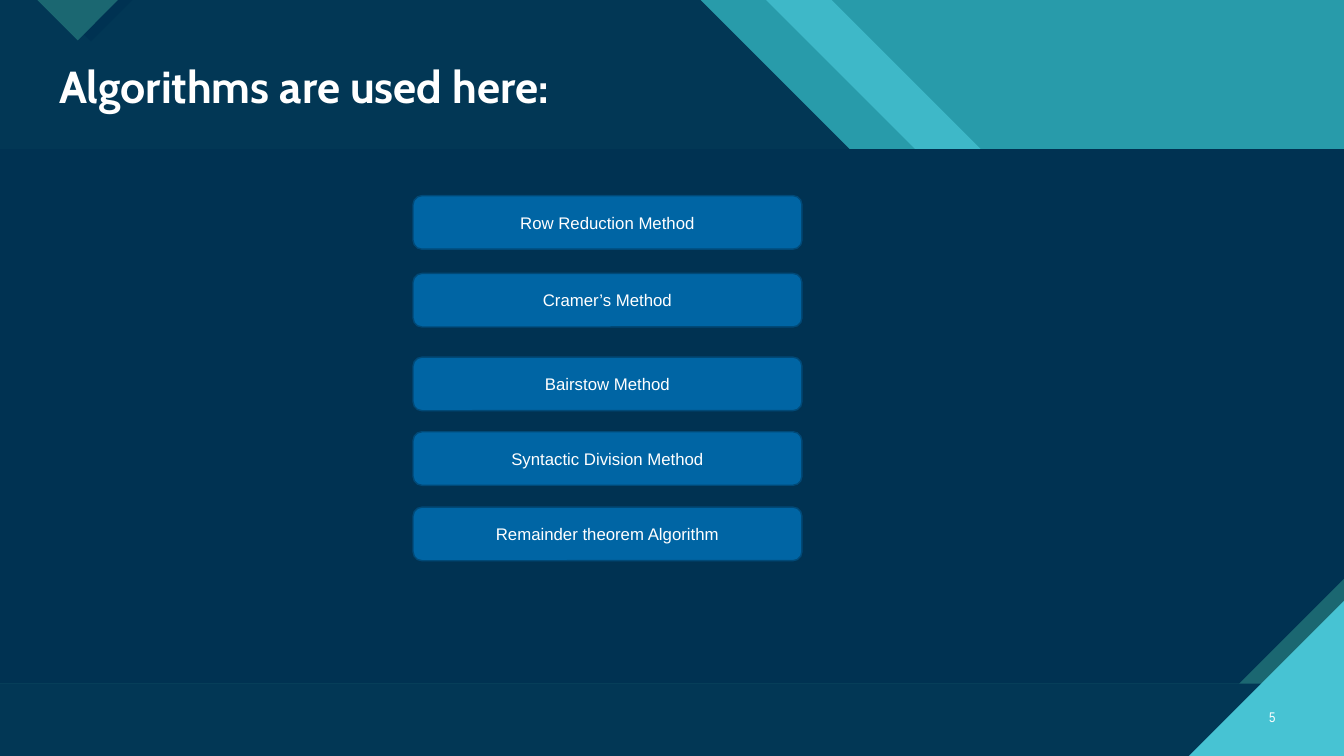
"""Build the slide that lists the algorithms in use."""
import lxml.etree
import pptx
import pptx.dml.color
import pptx.enum.shapes
import pptx.enum.text
import pptx.oxml.ns
import pptx.util

Cm = pptx.util.Cm
ALIGN = pptx.enum.text.PP_ALIGN
ANCHOR = pptx.enum.text.MSO_ANCHOR
WIDTH, HEIGHT = 33.87, 19.05
NAVY, PINE, TEAL, AQUA = "003252", "1B6771", "289BAA", "47C3D3"


def color(value):
    return pptx.dml.color.RGBColor.from_string(value)


class SlideBuilder:
    text_format = {"name": "Arial", "size": pptx.util.Pt(12), "bold": False}
    text_color = "FFFFFF"
    button_fill = "0065A4"
    button_line = "004977"

    def __init__(self, presentation):
        self.slide = presentation.slides.add_slide(presentation.slide_layouts[6])

    def background(self, fill):
        self.slide.background.fill.solid()
        self.slide.background.fill.fore_color.rgb = color(fill)

    def paint(self, shape, fill, opacity=100):
        shape.shadow.inherit = False
        shape.fill.solid()
        shape.fill.fore_color.rgb = color(fill)
        shape.line.fill.background()
        if opacity < 100:
            tint = shape.element.spPr.find(".//" + pptx.oxml.ns.qn("a:srgbClr"))
            alpha = lxml.etree.SubElement(tint, pptx.oxml.ns.qn("a:alpha"))
            alpha.set("val", str(opacity * 1000))

    def polygon(self, points, fill, opacity=100):
        corners = [(Cm(x), Cm(y)) for x, y in points]
        builder = self.slide.shapes.build_freeform(*corners[0])
        builder.add_line_segments(corners[1:], close=True)
        self.paint(builder.convert_to_shape(), fill, opacity)

    def rectangle(self, left, top, width, height, fill):
        shape = self.slide.shapes.add_shape(
            pptx.enum.shapes.MSO_SHAPE.RECTANGLE,
            Cm(left), Cm(top), Cm(width), Cm(height))
        self.paint(shape, fill)

    def set_text(self, shape, text, align, anchor, **changes):
        frame = shape.text_frame
        frame.word_wrap = True
        frame.vertical_anchor = anchor
        paragraph = frame.paragraphs[0]
        paragraph.alignment = align
        run = paragraph.add_run()
        run.text = text
        for name, value in {**self.text_format, **changes}.items():
            setattr(run.font, name, value)
        run.font.color.rgb = color(self.text_color)
        return paragraph

    def label(self, left, top, width, height, text, align, anchor, **changes):
        box = self.slide.shapes.add_textbox(Cm(left), Cm(top), Cm(width), Cm(height))
        return self.set_text(box, text, align, anchor, **changes)

    def button(self, left, top, width, height, text):
        shape = self.slide.shapes.add_shape(
            pptx.enum.shapes.MSO_SHAPE.ROUNDED_RECTANGLE,
            Cm(left), Cm(top), Cm(width), Cm(height))
        self.paint(shape, self.button_fill)
        shape.line.color.rgb = color(self.button_line)
        shape.line.width = pptx.util.Pt(1)
        self.set_text(shape, text, ALIGN.CENTER, ANCHOR.MIDDLE)


def stepped_outline(start):
    step, shelf = 7.54, 3.2
    shelf_end = start + step + shelf
    return [(0, 0), (start, 0), (start + step, step), (shelf_end, step),
            (WIDTH, step + WIDTH - shelf_end), (WIDTH, HEIGHT), (0, HEIGHT)]


def main():
    presentation = pptx.Presentation()
    presentation.slide_width = Cm(WIDTH)
    presentation.slide_height = Cm(HEIGHT)
    builder = SlideBuilder(presentation)

    builder.background(TEAL)
    for start, fill, opacity in [(20.96, AQUA, 74), (19.3, TEAL, 100),
                                 (17.65, PINE, 100), (17.65, NAVY, 90)]:
        builder.polygon(stepped_outline(start), fill, opacity)

    builder.polygon([(1.22, 0), (3.33, 0), (2.29, 1.04)], NAVY)
    builder.polygon([(0.94, 0), (2.97, 0), (1.96, 1.02)], PINE)

    panel_top, panel_height, snip = 3.76, 13.47, 2.65
    panel_bottom = panel_top + panel_height
    builder.rectangle(0, panel_top, WIDTH, panel_height, PINE)
    builder.polygon([(0, panel_top), (WIDTH, panel_top), (WIDTH, panel_bottom - snip),
                     (WIDTH - snip, panel_bottom), (0, panel_bottom)], NAVY)

    corner = 3.91
    builder.polygon([(WIDTH - corner, HEIGHT), (WIDTH, HEIGHT),
                     (WIDTH, HEIGHT - corner)], AQUA)

    title = builder.label(1.24, 1.5, 32.4, 1.5, "Algorithms are used here:",
                          ALIGN.LEFT, ANCHOR.TOP, name="Cabin",
                          size=pptx.util.Pt(32), bold=True)
    title.line_spacing = 0.9
    builder.label(31.27, 17.55, 1.12, 1.02, "5", ALIGN.RIGHT, ANCHOR.MIDDLE,
                  name="Arial Narrow", size=pptx.util.Pt(10))

    for top, method in [(4.93, "Row Reduction Method"),
                        (6.89, "Cramer’s Method"),
                        (9, "Bairstow Method"),
                        (10.88, "Syntactic Division Method"),
                        (12.78, "Remainder theorem Algorithm")]:
        builder.button(10.41, top, 9.8, 1.35, method)

    presentation.save("out.pptx")


if __name__ == "__main__":
    main()
